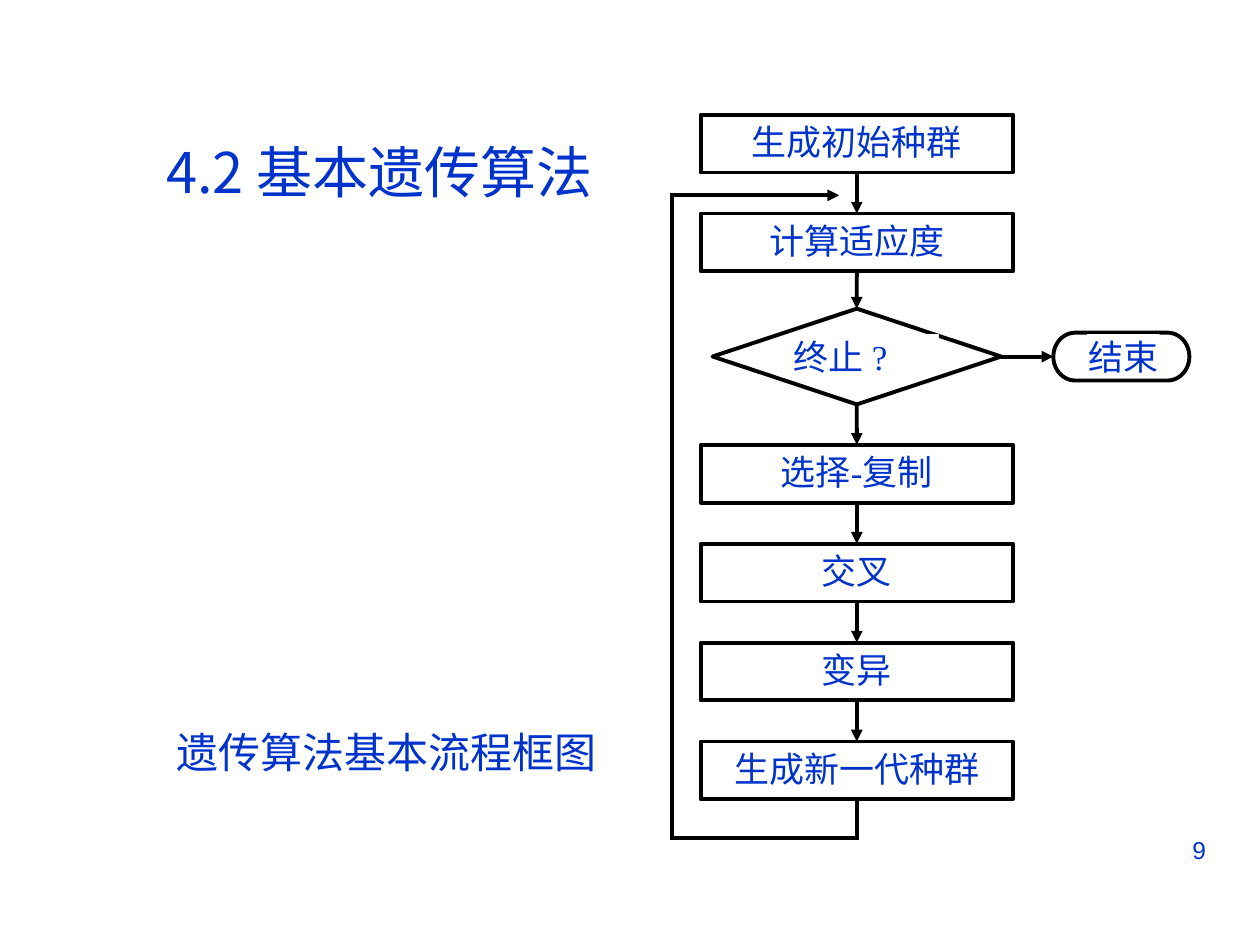
"""Build the flow chart slide of the basic genetic algorithm."""
from dataclasses import dataclass
from itertools import pairwise

import pptx
import pptx.dml.color
import pptx.enum.shapes
import pptx.enum.text
import pptx.oxml.ns
import pptx.util
from lxml import etree
from pptx.util import Inches

SHAPES = pptx.enum.shapes.MSO_SHAPE
ALIGN = pptx.enum.text.PP_ALIGN


@dataclass(frozen=True)
class Theme:
    """Colours, fonts and sizes in points."""
    ink: str = "0033CC"
    paper: str = "FFFFFF"
    stroke: str = "000000"
    title_font: str = "Noto Sans CJK SC"
    body_font: str = "Times New Roman"
    number_font: str = "Arial"
    title_size: float = 32
    caption_size: float = 24
    step_size: float = 20
    number_size: float = 14
    line_width: float = 2.25
    hairline: float = 0.75


@dataclass(frozen=True)
class Node:
    """An outlined shape placed by its horizontal centre and top."""
    text: str
    top: float
    width: float = 2.48
    height: float = 0.46
    center: float = 6.8
    kind: SHAPES = SHAPES.RECTANGLE


@dataclass(frozen=True)
class Label:
    """A white, borderless text block."""
    text: str
    left: float
    top: float
    width: float
    height: float
    size: float
    align: ALIGN
    margins: tuple = (0, 0)


THEME = Theme()
PITCH = 0.785
LOOP_X, LOOP_TOP, LOOP_BOTTOM, LOOP_TIP = 5.33, 1.55, 6.65, 6.66
STEPS = [
    Node("生成初始种群", 0.91),
    Node("计算适应度", 0.91 + PITCH),
    Node("", 2.45, 2.29, 0.76, kind=SHAPES.FLOWCHART_DECISION),
    *(Node(text, 3.53 + PITCH * index)
      for index, text in enumerate(["选择-复制", "交叉", "变异", "生成新一代种群"])),
]
FINISH = Node("", 2.64, 1.08, 0.38, 8.9, SHAPES.FLOWCHART_TERMINATOR)
LABELS = [
    Label("遗传算法基本流程框图", 1.22, 5.72, 3.78, 0.45, THEME.caption_size,
          ALIGN.JUSTIFY, (0.18, 0.05)),
    Label("终止 ?", 6.3, 2.66, 1.15, 0.3, THEME.step_size, ALIGN.JUSTIFY),
    Label("结束", 8.63, 2.66, 0.57, 0.3, THEME.step_size, ALIGN.CENTER),
]


def rgb(code: str) -> pptx.dml.color.RGBColor:
    """Turn a hex code into a colour."""
    return pptx.dml.color.RGBColor.from_string(code)


def write(box, text: str, font: str, size: float, align: ALIGN,
          margins: tuple = (0.1, 0.05), wrap: bool = True) -> None:
    """Write one formatted line into a shape."""
    frame = box.text_frame
    frame.auto_size = pptx.enum.text.MSO_AUTO_SIZE.NONE
    frame.word_wrap = wrap
    frame.vertical_anchor = pptx.enum.text.MSO_ANCHOR.TOP
    frame.margin_left = frame.margin_right = Inches(margins[0])
    frame.margin_top = frame.margin_bottom = Inches(margins[1])
    para = frame.paragraphs[0]
    para.alignment = align
    span = para.add_run()
    span.text = text
    span.font.name = font
    span.font.size = pptx.util.Pt(size)
    span.font.color.rgb = rgb(THEME.ink)


def add_box(page, kind: SHAPES, left: float, top: float, width: float,
            height: float, line: str, weight: float):
    """Add a white shape with the given outline."""
    box = page.shapes.add_shape(kind, Inches(left), Inches(top),
                                Inches(width), Inches(height))
    box.shadow.inherit = False
    box.fill.solid()
    box.fill.fore_color.rgb = rgb(THEME.paper)
    box.line.color.rgb = rgb(line)
    box.line.width = pptx.util.Pt(weight)
    return box


def add_node(page, node: Node):
    """Add one flow chart node."""
    box = add_box(page, node.kind, node.center - node.width / 2, node.top,
                  node.width, node.height, THEME.stroke, THEME.line_width)
    if node.text:
        write(box, node.text, THEME.body_font, THEME.step_size, ALIGN.CENTER)
    return box


def add_label(page, label: Label) -> None:
    """Add one text block."""
    box = add_box(page, SHAPES.RECTANGLE, label.left, label.top, label.width,
                  label.height, THEME.paper, THEME.hairline)
    write(box, label.text, THEME.body_font, label.size, label.align, label.margins)


def add_line(page, start: tuple = (0, 0), end: tuple = (0, 0), arrow: bool = True):
    """Add a straight line, with an arrowhead or a square cap."""
    line = page.shapes.add_connector(
        pptx.enum.shapes.MSO_CONNECTOR.STRAIGHT,
        *(Inches(value) for value in (*start, *end)))
    line.line.color.rgb = rgb(THEME.stroke)
    line.line.width = pptx.util.Pt(THEME.line_width)
    outline = line.line._get_or_add_ln()
    if arrow:
        etree.SubElement(outline, pptx.oxml.ns.qn("a:tailEnd"), type="triangle")
    else:
        outline.set("cap", "sq")
    etree.SubElement(line._element.spPr, pptx.oxml.ns.qn("a:effectLst"))
    return line


def join(page, source, source_side: int, target, target_side: int) -> None:
    """Join two shapes with an arrow."""
    line = add_line(page)
    line.begin_connect(source, source_side)
    line.end_connect(target, target_side)


def add_loop(page, last_box) -> None:
    """Lead the last step back to the fitness step."""
    center = STEPS[-1].center
    bottom = STEPS[-1].top + STEPS[-1].height
    points = [(center, bottom), (center, LOOP_BOTTOM), (LOOP_X, LOOP_BOTTOM),
              (LOOP_X, LOOP_TOP), (LOOP_TIP, LOOP_TOP)]
    lines = [add_line(page, start, end, arrow=end == points[-1])
             for start, end in pairwise(points)]
    lines[0].begin_connect(last_box, 2)


def main() -> None:
    """Build and save the deck."""
    deck = pptx.Presentation()
    deck.slide_width, deck.slide_height = Inches(10), Inches(7.5)
    page = deck.slides.add_slide(deck.slide_layouts[5])
    title = page.shapes.title
    title.left, title.top = Inches(1.22), Inches(1.04)
    title.width, title.height = Inches(3.82), Inches(0.64)
    write(title, "4.2 基本遗传算法", THEME.title_font, THEME.title_size,
          ALIGN.LEFT, wrap=False)

    boxes = [add_node(page, node) for node in STEPS]
    finish = add_node(page, FINISH)
    for label in LABELS:
        add_label(page, label)
    for source, target in pairwise(boxes):
        join(page, source, 2, target, 0)
    join(page, boxes[2], 3, finish, 1)
    add_loop(page, boxes[-1])

    number = page.shapes.add_textbox(Inches(7.17), Inches(6.58),
                                     Inches(2.5), Inches(0.52))
    write(number, "9", THEME.number_font, THEME.number_size, ALIGN.RIGHT)
    deck.save("out.pptx")


if __name__ == "__main__":
    main()
